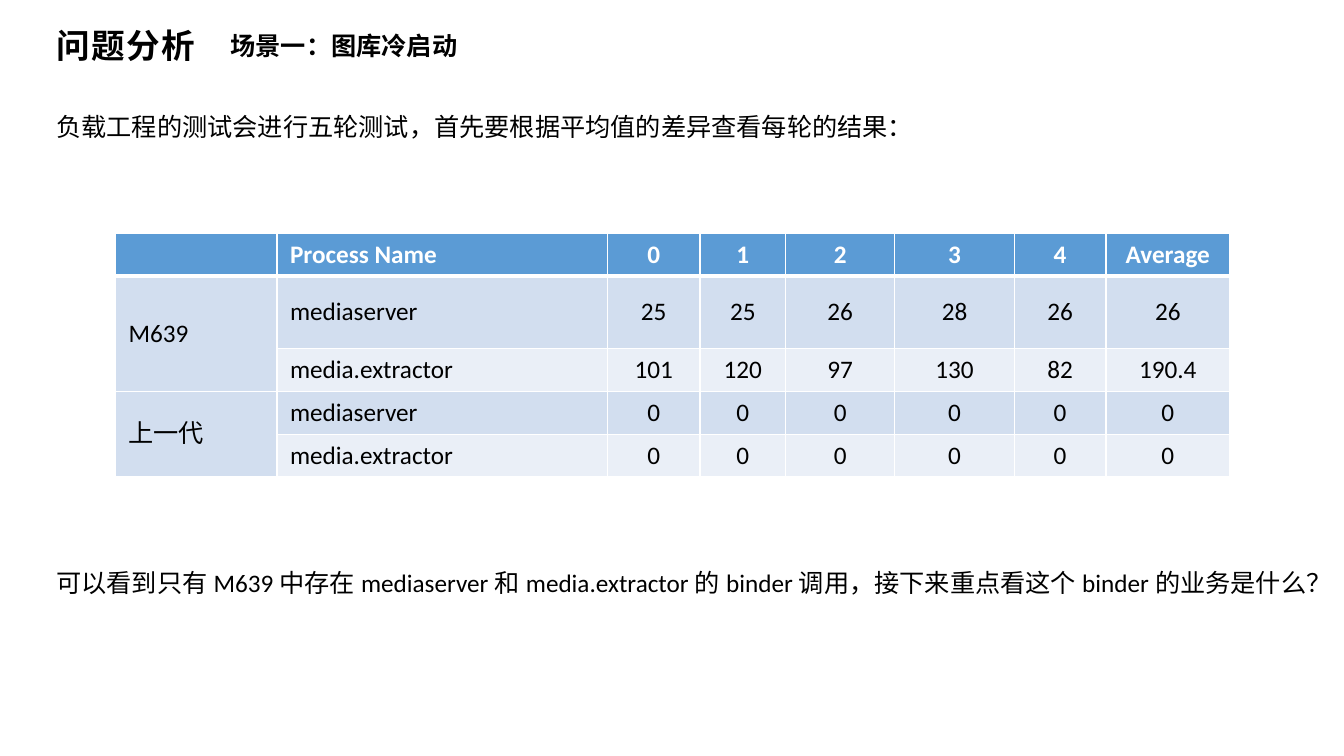
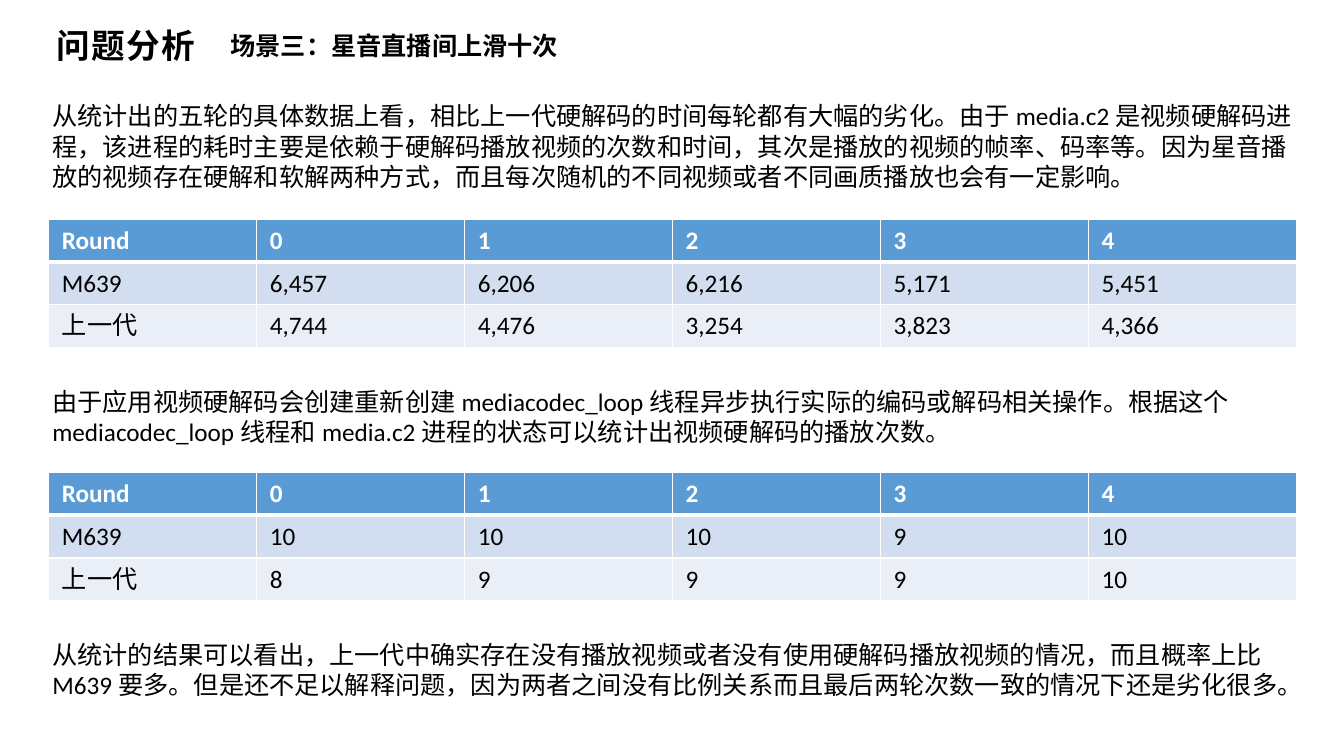
import pptx
import pptx.util
import pptx.dml.color
import pptx.enum.lang
import pptx.enum.text
from lxml import etree

Cm = pptx.util.Cm
Pt = pptx.util.Pt
RGB = pptx.dml.color.RGBColor
ALIGN = pptx.enum.text.PP_ALIGN
ANCHOR = pptx.enum.text.MSO_ANCHOR
FIT = pptx.enum.text.MSO_AUTO_SIZE
CHINESE = pptx.enum.lang.MSO_LANGUAGE_ID.SIMPLIFIED_CHINESE

# Shared look
BLACK = RGB(0x00, 0x00, 0x00)
WHITE = RGB(0xFF, 0xFF, 0xFF)
HEAD = RGB(0x5B, 0x9B, 0xD5)
BANDS = (RGB(0xD2, 0xDE, 0xEF), RGB(0xEA, 0xEF, 0xF7))
HEI = "Noto Sans CJK SC"
BODY = "Calibri"
ROW = 1.08  # height of a table row, in cm


def put_text(frame, words, size=18, face=BODY, color=BLACK, bold=False,
             align=ALIGN.LEFT, space=0):
    """Write one formatted paragraph into a text frame."""
    para = frame.paragraphs[0]
    para.alignment = align
    run = para.add_run()
    run.text = words
    font = run.font
    font.size, font.bold, font.name = Pt(size), bold, face
    font.color.rgb = color
    font.language_id = CHINESE
    props = run._r.get_or_add_rPr()
    etree.SubElement(props, pptx.oxml.ns.qn("a:ea"), typeface=face)
    if space:
        props.set("spc", str(space * 100))


def place(shape, left, top, width, height):
    shape.left, shape.top = Cm(left), Cm(top)
    shape.width, shape.height = Cm(width), Cm(height)


def add_note(slide, words, left, top, width, height, wrap=True,
             anchor=ANCHOR.TOP, **style):
    box = slide.shapes.add_textbox(0, 0, 0, 0)
    place(box, left, top, width, height)
    frame = box.text_frame
    frame.word_wrap = wrap
    frame.auto_size = FIT.NONE
    frame.vertical_anchor = anchor
    put_text(frame, words, **style)


def new_slide(deck, scene, width):
    """Add a slide with the common title and its scene label."""
    slide = deck.slides.add_slide(deck.slide_layouts[5])
    title = slide.shapes.title
    place(title, 1.17, 0.5, 4.06, 1.27)
    frame = title.text_frame
    frame.word_wrap = False
    frame.auto_size = FIT.NONE
    frame.vertical_anchor = ANCHOR.MIDDLE
    put_text(frame, "问题分析", size=24, face=HEI, bold=True, space=1)
    add_note(slide, scene, 5.56, 0.63, width, 1.02, wrap=False,
             anchor=ANCHOR.MIDDLE, face=HEI, bold=True)
    return slide


def set_edges(cell, base):
    """Draw white cell borders; base is the width of the bottom one."""
    props = cell._tc.get_or_add_tcPr()
    for side, width in (("L", 1), ("R", 1), ("T", 1), ("B", base)):
        line = etree.SubElement(props, pptx.oxml.ns.qn("a:ln" + side),
                                w=str(Pt(width)))
        fill = etree.SubElement(line, pptx.oxml.ns.qn("a:solidFill"))
        etree.SubElement(fill, pptx.oxml.ns.qn("a:srgbClr"), val=str(WHITE))


def add_grid(slide, data, left, top, cols, rows, center=None):
    """Add a banded table; columns from index center on are centred."""
    shape = slide.shapes.add_table(len(rows), len(cols), Cm(left), Cm(top),
                                   Cm(sum(cols)), Cm(sum(rows)))
    table = shape.table
    for col, width in zip(table.columns, cols):
        col.width = Cm(width)
    for r, (row, height) in enumerate(zip(table.rows, rows)):
        row.height = Cm(height)
        for c, words in enumerate(data[r]):
            cell = table.cell(r, c)
            cell.vertical_anchor = ANCHOR.MIDDLE
            cell.margin_left = cell.margin_right = Cm(0.33)
            cell.margin_top = cell.margin_bottom = Cm(0.15)
            set_edges(cell, 1 if r else 3)
            cell.fill.solid()
            cell.fill.fore_color.rgb = BANDS[(r - 1) % 2] if r else HEAD
            if words:
                mid = center is not None and c >= center
                put_text(cell.text_frame, words, bold=r == 0,
                         color=BLACK if r else WHITE,
                         align=ALIGN.CENTER if mid else ALIGN.LEFT)
    return table


def add_rounds(slide, top, new, old):
    """Compare the five rounds of both generations."""
    data = [["Round", *"01234"], ["M639", *new], ["上一代", *old]]
    add_grid(slide, data, 1.23, top, [5.24] * 6, [ROW] * 3)


def cold_start(deck):
    slide = new_slide(deck, "场景一：图库冷启动", 6.27)
    add_note(slide, "负载工程的测试会进行五轮测试，首先要根据平均值的差异查看每轮的结果：",
             1.17, 2.69, 22.12, 1.02, wrap=False)
    zeros = ["0"] * 6
    data = [
        ["", "Process Name", *"01234", "Average"],
        ["M639", "mediaserver", "25", "25", "26", "28", "26", "26"],
        ["", "media.extractor", "101", "120", "97", "130", "82", "190.4"],
        ["上一代", "mediaserver", *zeros],
        ["", "media.extractor", *zeros],
    ]
    cols = [4.07, 8.33, 2.33, 2.16, 2.75, 3.01, 2.31, 3.12]
    table = add_grid(slide, data, 2.91, 5.88, cols,
                     [ROW, 1.82, ROW, ROW, ROW], center=2)
    for r in (1, 3):
        table.cell(r, 0).merge(table.cell(r + 1, 0))
    add_note(slide, "可以看到只有M639中存在mediaserver和media.extractor的binder调用，"
             "接下来重点看这个binder的业务是什么？",
             1.17, 14.17, 32.05, 1.02, wrap=False)


def live_room(deck):
    slide = new_slide(deck, "场景三：星音直播间上滑十次", 9.19)
    add_note(slide, "从统计出的五轮的具体数据上看，相比上一代硬解码的时间每轮都有大幅的劣化。"
             "由于media.c2是视频硬解码进程，该进程的耗时主要是依赖于硬解码播放视频的次数和时间，"
             "其次是播放的视频的帧率、码率等。因为星音播放的视频存在硬解和软解两种方式，"
             "而且每次随机的不同视频或者不同画质播放也会有一定影响。",
             1.07, 2.41, 31.95, 2.57)
    add_rounds(slide, 5.52, ["6,457", "6,206", "6,216", "5,171", "5,451"],
               ["4,744", "4,476", "3,254", "3,823", "4,366"])
    add_note(slide, "由于应用视频硬解码会创建重新创建mediacodec_loop线程异步执行实际的编码或解码相关操作。"
             "根据这个mediacodec_loop线程和media.c2进程的状态可以统计出视频硬解码的播放次数。",
             1.07, 9.6, 31.45, 1.8)
    add_rounds(slide, 11.9, ["10", "10", "10", "9", "10"],
               ["8", "9", "9", "9", "10"])
    add_note(slide, "从统计的结果可以看出，上一代中确实存在没有播放视频或者没有使用硬解码播放视频的情况，"
             "而且概率上比M639要多。但是还不足以解释问题，"
             "因为两者之间没有比例关系而且最后两轮次数一致的情况下还是劣化很多。",
             1.07, 15.98, 31.45, 1.8)


def main():
    deck = pptx.Presentation()
    deck.slide_width, deck.slide_height = Cm(33.87), Cm(19.05)
    cold_start(deck)
    live_room(deck)
    deck.save("out.pptx")


if __name__ == "__main__":
    main()
